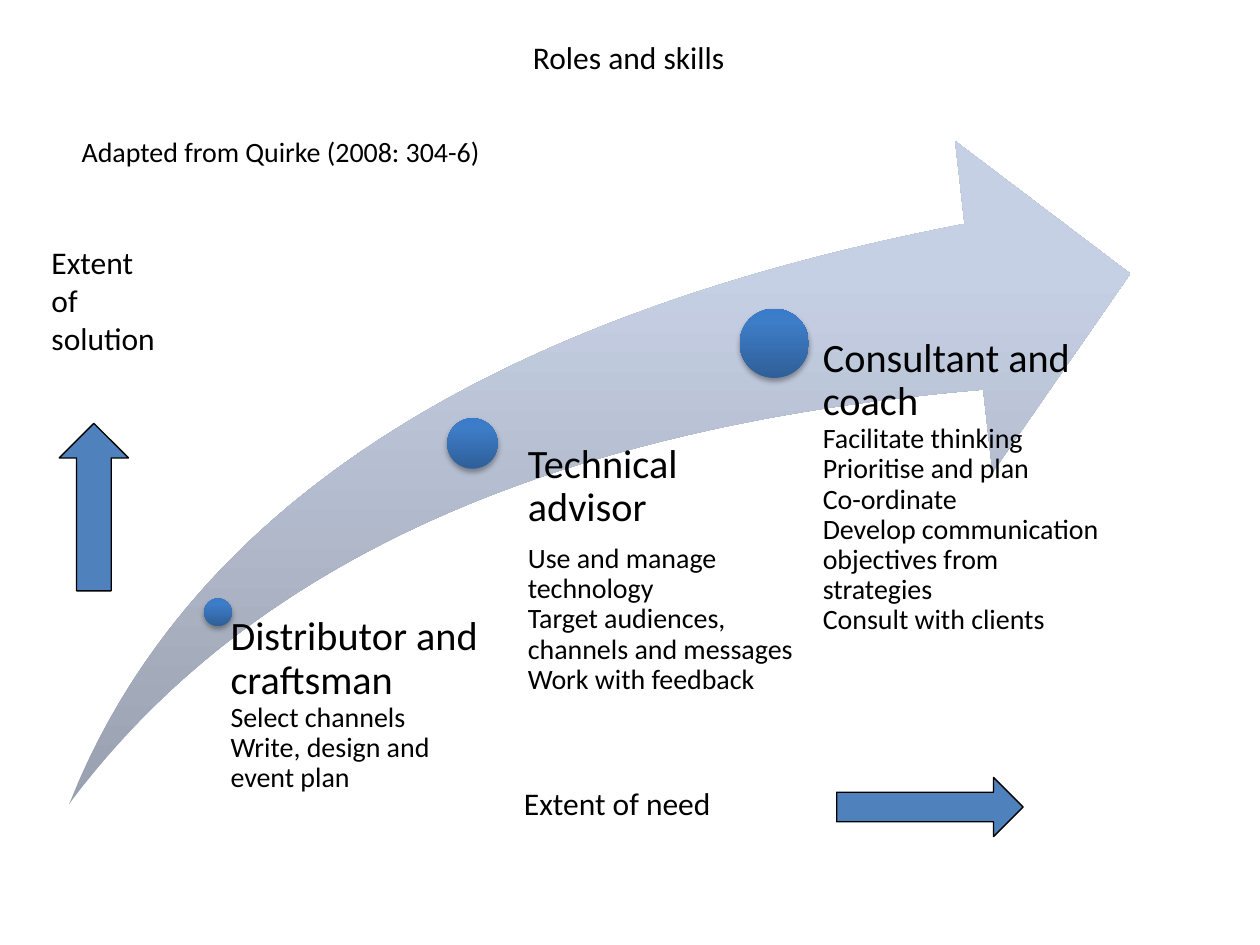
from copy import deepcopy

from lxml import etree
from pptx import Presentation
from pptx.dml.color import RGBColor
from pptx.enum.shapes import MSO_SHAPE as Shape
from pptx.enum.text import MSO_ANCHOR as Anchor, PP_ALIGN as Align
from pptx.oxml import parse_xml
from pptx.oxml.ns import nsdecls, qn
from pptx.util import Inches, Pt

COLORS = {"text": "000000", "arrow": "4F81BD", "line": "000000"}
SWOOSH = ["99A0AF", "C6D0E4", "C7D1E5"]
DOT = ["2F5F99", "3D7CC7", "3A7CCB"]


def fill_gradient(shape, colors):
    """Three stops running from bottom to top, without an outline."""
    shape.shadow.inherit = False
    shape.line.fill.background()
    shape.fill.gradient()
    shape.fill.gradient_angle = 90
    stops = shape._element.spPr.find(qn("a:gradFill")).find(qn("a:gsLst"))
    stops.append(deepcopy(stops[-1]))
    for stop, color, position in zip(shape.fill.gradient_stops, colors, (0, 0.8, 1)):
        stop.color.rgb = RGBColor.from_string(color)
        stop.position = position


def write(tf, lines, spacing=None):
    """Fill a text frame with (text, size, space after) paragraphs."""
    tf.word_wrap = True
    for i, (text, size, after) in enumerate(lines):
        p = tf.paragraphs[0] if i == 0 else tf.add_paragraph()
        p.text = text
        p.line_spacing = spacing
        p.space_after = Pt(after)
        for font in [p.font] + [r.font for r in p.runs]:
            font.name, font.size = "Calibri", Pt(size)
            font.color.rgb = RGBColor.from_string(COLORS["text"])


prs = Presentation()
prs.slide_width, prs.slide_height = Inches(10), Inches(7.5)
s = prs.slides.add_slide(prs.slide_layouts[5])

# Title
title = s.shapes.title
title.left, title.top = Inches(4.13), Inches(0.25)
title.width, title.height = Inches(1.74), Inches(0.4)
write(title.text_frame, [("Roles and skills", 18, 0)])
title.text_frame.word_wrap = False
title.text_frame.vertical_anchor = Anchor.TOP
title.text_frame.paragraphs[0].alignment = Align.LEFT

# Rising arrow
swoosh = s.shapes.add_shape(Shape.SWOOSH_ARROW, Inches(0.55), Inches(1.12),
                            Inches(8.42), Inches(5.26))
swoosh.adjustments[0] = swoosh.adjustments[1] = 0.25
fill_gradient(swoosh, SWOOSH)

# Roles: dot (left, top, size), text box, left inset, heading, gap below it, skills
roles = [
    ((1.62, 4.75, 0.22), (1.71, 4.89, 2.27, 1.52), 0.12,
     "Distributor and craftsman", 0,
     ["Select channels", "Write, design and\vevent plan"]),
    ((3.55, 3.32, 0.4), (3.98, 3.52, 2.4, 2.86), 0.21,
     "Technical advisor", 8,
     ["Use and manage technology", "Target audiences, channels and messages",
      "Work with feedback"]),
    ((5.87, 2.45, 0.55), (6.24, 2.68, 2.49, 3.66), 0.29,
     "Consultant and coach", 0,
     ["Facilitate thinking", "Prioritise and plan", "Co-ordinate",
      "Develop communication objectives from strategies", "Consult with clients"]),
]
for (left, top, size), box, inset, heading, gap, skills in roles:
    dot = s.shapes.add_shape(Shape.OVAL, Inches(left), Inches(top),
                             Inches(size), Inches(size))
    fill_gradient(dot, DOT)
    effects = dot._element.spPr.find(qn("a:effectLst"))
    effects.append(parse_xml(
        f'<a:outerShdw {nsdecls("a")} blurRad="{Pt(3.1)}" dist="{Pt(1.8)}" '
        'dir="5400000" rotWithShape="0"><a:srgbClr val="000000">'
        '<a:alpha val="35000"/></a:srgbClr></a:outerShdw>'))
    tf = s.shapes.add_textbox(*map(Inches, box)).text_frame
    tf.margin_left = Inches(inset)
    tf.margin_top = tf.margin_right = tf.margin_bottom = 0
    write(tf, [(heading, 23, gap)] + [(skill, 16, 0) for skill in skills], 0.9)

# Axis labels and source
labels = [
    ((4.06, 6.17, 2.89, 0.51), ["Extent of need"], 18),
    ((0.31, 1.88, 1.48, 1.31), ["Extent", "of", "solution"], 18),
    ((0.55, 1.02, 3.91, 0.37), ["Adapted from Quirke (2008: 304-6)"], 16),
]
for box, lines, size in labels:
    tf = s.shapes.add_textbox(*map(Inches, box)).text_frame
    write(tf, [(line, size, 0) for line in lines])

# Axis arrows
for kind, box in [(Shape.UP_ARROW, (0.47, 3.36, 0.55, 1.33)),
                  (Shape.RIGHT_ARROW, (6.64, 6.17, 1.48, 0.47))]:
    arrow = s.shapes.add_shape(kind, *map(Inches, box))
    arrow.shadow.inherit = False
    arrow.fill.solid()
    arrow.fill.fore_color.rgb = RGBColor.from_string(COLORS["arrow"])
    arrow.line.color.rgb = RGBColor.from_string(COLORS["line"])
    arrow.line.width = Pt(0.75)

prs.save("out.pptx")
